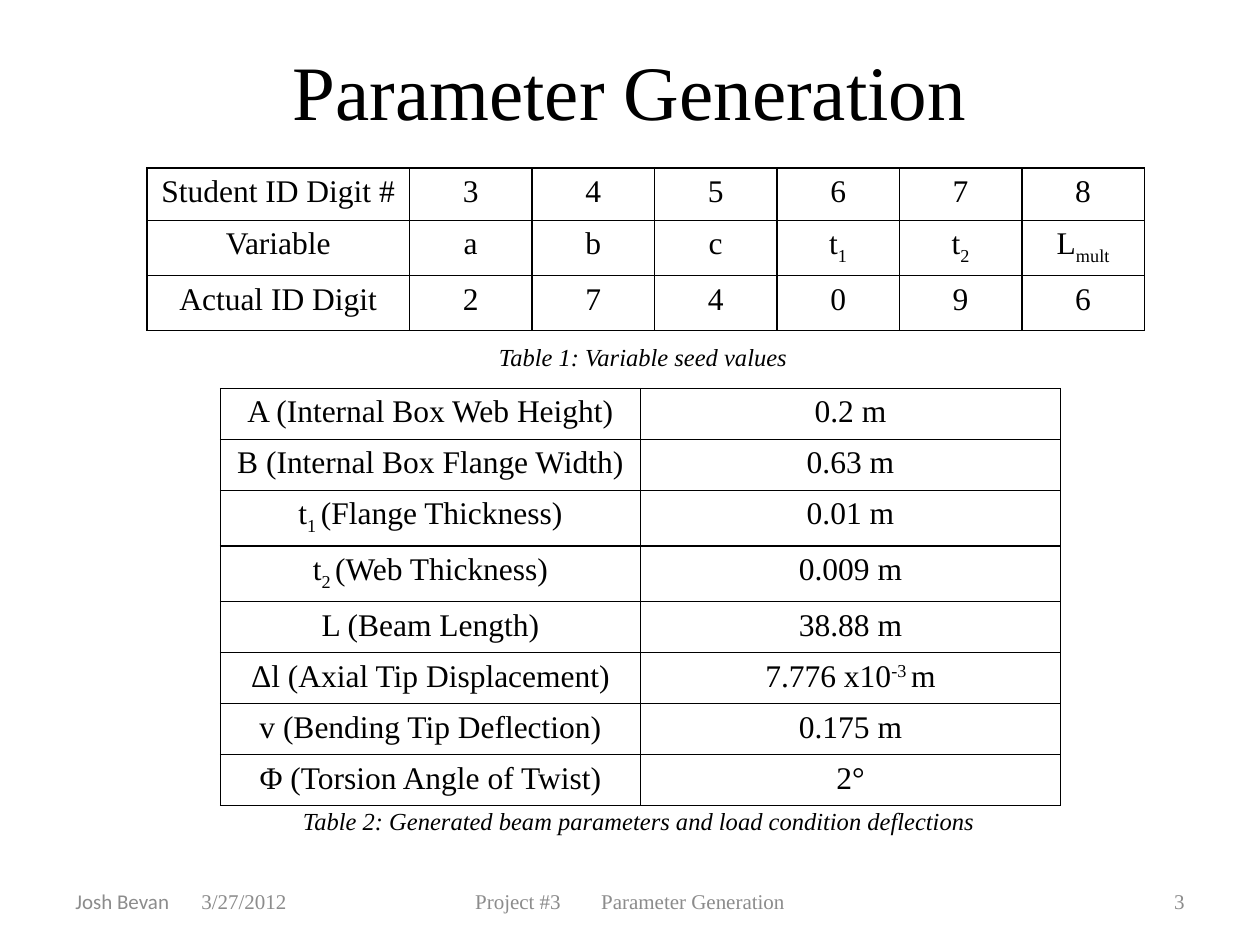
import pptx
import pptx.dml.color
import pptx.enum.text
import pptx.oxml.ns
import pptx.util
from lxml import etree

COLORS = {"text": "000000", "border": "000000", "footer": "8C8C8C"}
ALIGN = pptx.enum.text.PP_ALIGN
ANCHOR = pptx.enum.text.MSO_ANCHOR
BASELINES = {"_": "-25000", "^": "30000"}


def write_text(paragraph, text, size=18, font="Times New Roman", color="text",
               align=ALIGN.CENTER, italic=None):
    """Pieces are split by |; a leading _ or ^ lowers or raises a piece."""
    paragraph.alignment = align
    for piece in text.split("|"):
        run = paragraph.add_run()
        if piece[0] in BASELINES:
            run._r.get_or_add_rPr().set("baseline", BASELINES[piece[0]])
            piece = piece[1:]
        run.text = piece
        run.font.size = pptx.util.Pt(size)
        run.font.name = font
        run.font.italic = italic
        run.font.color.rgb = pptx.dml.color.RGBColor.from_string(COLORS[color])


class SlideBuilder:
    columns, rows = 120, 90

    def __init__(self, presentation):
        self.presentation = presentation
        self.slide = presentation.slides.add_slide(presentation.slide_layouts[5])

    def across(self, columns):
        return round(self.presentation.slide_width * columns / self.columns)

    def down(self, rows):
        return round(self.presentation.slide_height * rows / self.rows)

    def box(self, left, top, width, height):
        return self.across(left), self.down(top), self.across(width), self.down(height)

    def title(self, text, place):
        shape = self.slide.shapes.title
        shape.left, shape.top, shape.width, shape.height = self.box(*place)
        shape.text_frame.vertical_anchor = ANCHOR.MIDDLE
        write_text(shape.text_frame.paragraphs[0], text, size=44)

    def text(self, text, place, wrap=True, anchor=ANCHOR.TOP, **style):
        frame = self.slide.shapes.add_textbox(*self.box(*place)).text_frame
        frame.word_wrap = wrap
        frame.vertical_anchor = anchor
        write_text(frame.paragraphs[0], text, **style)
        return frame.paragraphs[0]

    def caption(self, text, place):
        self.text(text, place, wrap=False, size=14, italic=True)

    def footer(self, text, place, **style):
        return self.text(text, place, anchor=ANCHOR.MIDDLE, size=12, color="footer", **style)

    def border(self, cell):
        properties = cell._tc.get_or_add_tcPr()
        for side in ("lnL", "lnR", "lnT", "lnB"):
            line = etree.SubElement(properties, pptx.oxml.ns.qn(f"a:{side}"), w="12700")
            fill = etree.SubElement(line, pptx.oxml.ns.qn("a:solidFill"))
            etree.SubElement(fill, pptx.oxml.ns.qn("a:srgbClr"), val=COLORS["border"])

    def table(self, cells, left, top, widths, heights):
        place = self.box(left, top, sum(widths), sum(heights))
        table = self.slide.shapes.add_table(len(heights), len(widths), *place).table
        table.first_row = table.horz_banding = False
        for column, width in zip(table.columns, widths):
            column.width = self.across(width)
        for row, height, texts in zip(table.rows, heights, cells):
            row.height = self.down(height)
            for cell, text in zip(row.cells, texts):
                self.border(cell)
                cell.fill.background()
                write_text(cell.text_frame.paragraphs[0], text)


SEED_VALUES = [
    ("Student ID Digit #", "3", "4", "5", "6", "7", "8"),
    ("Variable", "a", "b", "c", "t|_1", "t|_2", "L|_mult"),
    ("Actual ID Digit", "2", "7", "4", "0", "9", "6"),
]
BEAM_PARAMETERS = [
    ("A (Internal Box Web Height)", "0.2 m"),
    ("B (Internal Box Flange Width)", "0.63 m"),
    ("t|_1 |(Flange Thickness)", "0.01 m"),
    ("t|_2 |(Web Thickness)", "0.009 m"),
    ("L (Beam Length)", "38.88 m"),
    ("Δl (Axial Tip Displacement)", "7.776 x10|^-3 |m"),
    ("v (Bending Tip Deflection)", "0.175 m"),
    ("Φ (Torsion Angle of Twist)", "2°"),
]


def main():
    presentation = pptx.Presentation()
    presentation.slide_width = pptx.util.Inches(10)
    presentation.slide_height = pptx.util.Inches(7.5)
    builder = SlideBuilder(presentation)

    builder.title("Parameter Generation", (9, 2, 102, 13))
    builder.table(SEED_VALUES, 14, 16, [25] + [70 / 6] * 6, [5, 5.25, 5.25])
    builder.caption("Table 1: Variable seed values", (46, 32, 30.5, 4))
    builder.table(BEAM_PARAMETERS, 21, 37, [40] * 2, [4.86] * len(BEAM_PARAMETERS))
    builder.caption("Table 2: Generated beam parameters and load condition deflections",
                    (26.6, 76.2, 68.5, 4))

    author = builder.footer("Josh Bevan\t", (6, 83.4, 28, 4.8),
                            font="Calibri", align=ALIGN.LEFT)
    write_text(author, "3/27/2012", size=12, color="footer", align=ALIGN.LEFT)
    builder.footer("Project #3\tParameter Generation", (41, 83.4, 38, 4.8))
    builder.footer("3", (86, 83.4, 28, 4.8), align=ALIGN.RIGHT)

    presentation.save("out.pptx")


if __name__ == "__main__":
    main()
